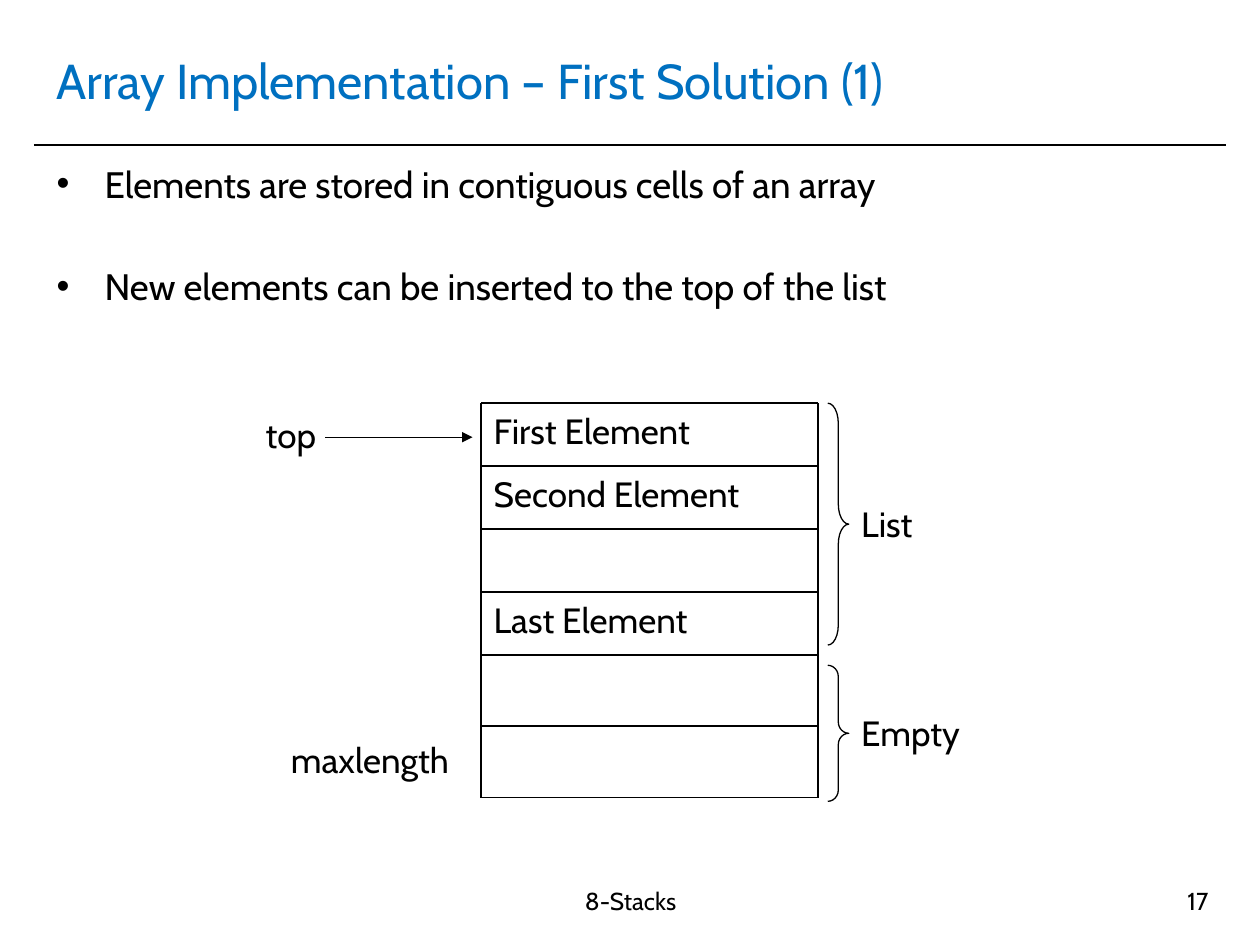
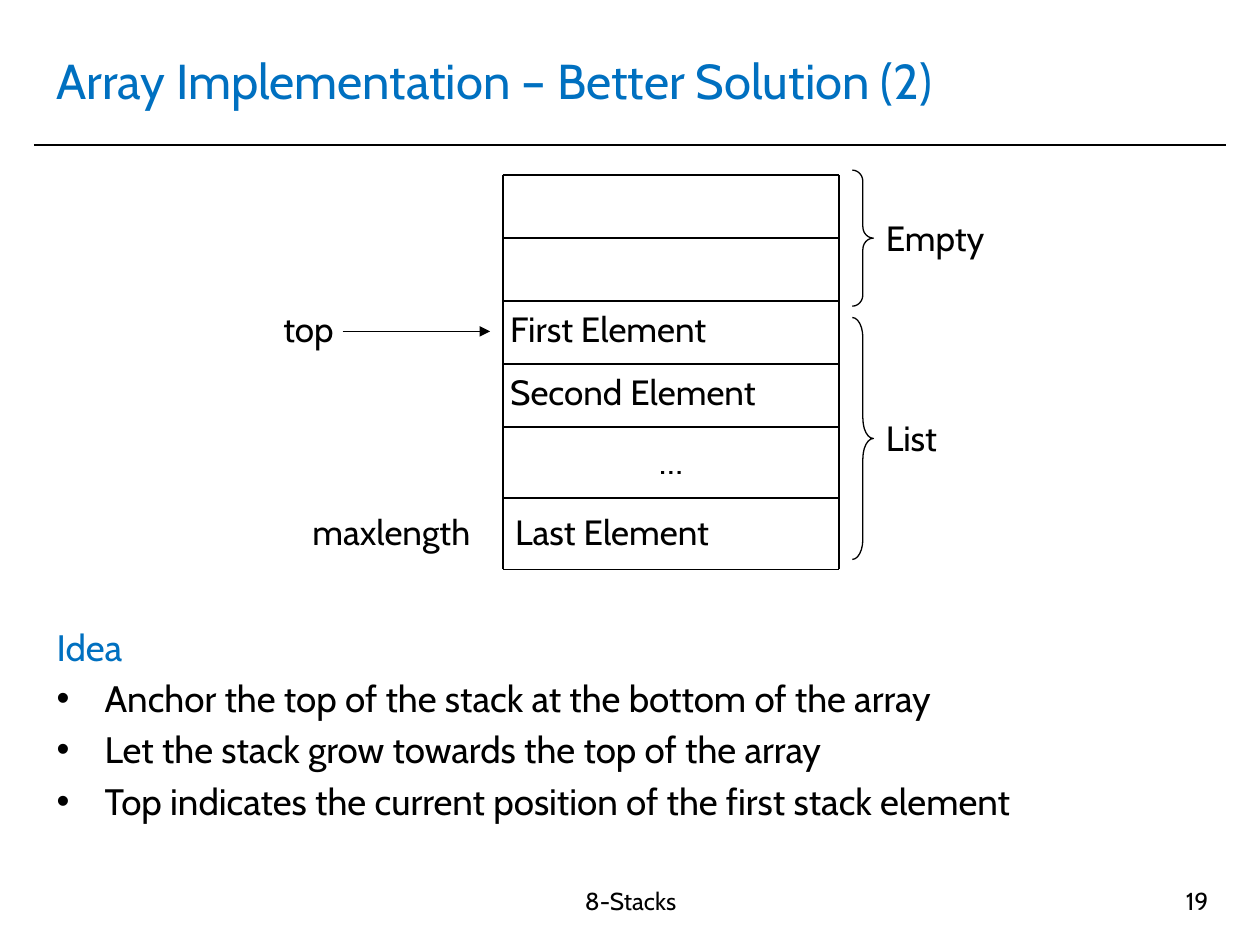
from dataclasses import dataclass
from typing import NamedTuple

from lxml.etree import SubElement
from pptx import Presentation
from pptx.dml.color import RGBColor
from pptx.enum.shapes import MSO_CONNECTOR, MSO_SHAPE
from pptx.enum.text import MSO_ANCHOR, MSO_AUTO_SIZE, PP_ALIGN
from pptx.oxml.ns import qn
from pptx.util import Inches, Pt


# Theme: colours, font, type sizes and line widths
@dataclass(frozen=True)
class Theme:
    font: str = "Cabin"
    ink: RGBColor = RGBColor(0x00, 0x00, 0x00)
    blue: RGBColor = RGBColor(0x00, 0x70, 0xC0)
    title: float = 28
    body: float = 21
    label: float = 20
    foot: float = 14
    rule: float = 1
    thin: float = 0.75


THEME = Theme()

# Grid: 100 columns by 75 rows
WIDTH, HEIGHT = Inches(10), Inches(7.5)
COLS, ROWS = 100, 75


def col(n: float) -> int:
    return round(WIDTH * n / COLS)


def row(n: float) -> int:
    return round(HEIGHT * n / ROWS)


class Box(NamedTuple):
    x: float
    y: float
    w: float
    h: float

    def place(self) -> tuple[int, int, int, int]:
        return col(self.x), row(self.y), col(self.w), row(self.h)


class Item(NamedTuple):
    text: str
    bullet: bool = True
    before: float = 0.2 * THEME.body


class Cell(NamedTuple):
    index: int
    text: str
    dx: float = 0
    dy: float = 0
    align: PP_ALIGN = PP_ALIGN.LEFT


class Brace(NamedTuple):
    text: str
    top: float
    height: float


# Positions below are measured from the top left corner of the array
@dataclass(frozen=True)
class Stack:
    x: float
    y: float
    cells: list[Cell]
    braces: list[Brace]
    side: float
    arrow: tuple[float, float]


@dataclass(frozen=True)
class Page:
    title: str
    number: str
    body: Box
    items: list[Item]
    stack: Stack


TITLE = Box(3.5, 2.1, 92.9, 8.5)
FOOT = Box(33.5, 69.8, 33.1, 5.2)
NUMBER = Box(73.6, 69.8, 23.3, 5.2)
EDGES = [0, 5, 10, 15, 20, 25.6, 31.3]
SPAN = 26.7
BRACE = 1.67
LABEL = 4.4
ARROW = 11.7
LINE = 1.4 * THEME.body

PAGES = [
    Page(
        "Array Implementation – First Solution (1)", "17",
        Box(3.5, 12.3, 92.9, 55.9),
        [
            Item("Elements are stored in contiguous cells of an array", before=0),
            Item("New elements can be inserted to the top of the list",
                 before=0.2 * THEME.body + LINE),
        ],
        Stack(
            38.2, 32,
            [Cell(0, "First Element"), Cell(1, "Second Element"),
             Cell(3, "Last Element")],
            [Brace("List", 0, 19.2), Brace("Empty", 20.8, 10.8)],
            27.5, (-12.4, 2.7),
        ),
    ),
    Page(
        "Array Implementation – Better Solution (2)", "19",
        Box(3.5, 49.05, 92.9, 19.15),
        [
            Item("Idea", bullet=False, before=0),
            Item("Anchor the top of the stack at the bottom of the array"),
            Item("Let the stack grow towards the top of the array"),
            Item("Top indicates the current position of the first stack element"),
        ],
        Stack(
            39.9, 13.9,
            [Cell(2, "First Element", -0.4), Cell(3, "Second Element", -0.4),
             Cell(4, "…", dy=0.5, align=PP_ALIGN.CENTER),
             Cell(5, "Last Element", dy=0.5)],
            [Brace("Empty", -0.4, 10.8), Brace("List", 11.3, 19.2)],
            27.75, (-12.7, 12.4),
        ),
    ),
]


# Basic parts
def style(para, size: float, color: RGBColor = THEME.ink,
          align: PP_ALIGN = PP_ALIGN.LEFT) -> None:
    para.alignment = align
    para.font.name = THEME.font
    para.font.size = Pt(size)
    para.font.color.rgb = color


def write(shapes, box: Box, text: str, size: float = THEME.label,
          align: PP_ALIGN = PP_ALIGN.LEFT) -> None:
    frame = shapes.add_textbox(*box.place()).text_frame
    frame.word_wrap = True
    frame.text = text
    style(frame.paragraphs[0], size, align=align)


def draw(shapes, x1: float, y1: float, x2: float, y2: float,
         width: float = THEME.rule, head: bool = False):
    line = shapes.add_connector(MSO_CONNECTOR.STRAIGHT,
                                col(x1), row(y1), col(x2), row(y2))
    line.line.color.rgb = THEME.ink
    line.line.width = Pt(width)
    props = line.element.spPr
    if head:
        SubElement(props.find(qn("a:ln")), qn("a:tailEnd"), type="triangle")
    SubElement(props, qn("a:effectLst"))
    return line


def mark(para, bullet: bool) -> None:
    props = para._p.get_or_add_pPr()
    indent = Inches(0.38) if bullet else 0
    props.set("marL", str(indent))
    props.set("indent", str(-indent))
    if bullet:
        tint = SubElement(props, qn("a:buClr"))
        SubElement(tint, qn("a:srgbClr"), val=str(THEME.ink))
        SubElement(props, qn("a:buFont"), typeface="Arial")
        SubElement(props, qn("a:buChar"), char="•")
    else:
        SubElement(props, qn("a:buNone"))


# Title and list
def fill(holder, box: Box, anchor: MSO_ANCHOR):
    holder.left, holder.top, holder.width, holder.height = box.place()
    frame = holder.text_frame
    frame.auto_size = MSO_AUTO_SIZE.NONE
    frame.vertical_anchor = anchor
    return frame


def head(slide, text: str) -> None:
    frame = fill(slide.shapes.title, TITLE, MSO_ANCHOR.MIDDLE)
    frame.text = text
    style(frame.paragraphs[0], THEME.title, THEME.blue)


def body(slide, box: Box, items: list[Item]) -> None:
    frame = fill(slide.placeholders[1], box, MSO_ANCHOR.TOP)
    frame.text = "\n".join(item.text for item in items)
    for para, item in zip(frame.paragraphs, items):
        mark(para, item.bullet)
        para.space_before = Pt(item.before)
        style(para, THEME.body, THEME.ink if item.bullet else THEME.blue)


# Array diagram
def brace(shapes, x: float, y: float, part: Brace) -> None:
    box = Box(x, y + part.top, BRACE, part.height)
    shape = shapes.add_shape(MSO_SHAPE.RIGHT_BRACE, *box.place())
    shape.shadow.inherit = False
    shape.fill.background()
    shape.line.color.rgb = THEME.ink
    shape.line.width = Pt(THEME.thin)
    shape.adjustments[0] = part.height / 12 / BRACE
    mid = box.y + box.h / 2
    write(shapes, Box(x + BRACE, mid - LABEL / 2, 11.7, LABEL), part.text)


def array(shapes, stack: Stack) -> None:
    x, y = stack.x, stack.y
    for cell in stack.cells:
        box = Box(x + cell.dx, y + EDGES[cell.index] + cell.dy, SPAN, 5)
        write(shapes, box, cell.text, align=cell.align)
    for edge in EDGES:
        draw(shapes, x, y + edge, x + SPAN, y + edge)
    for side in (x, x + SPAN):
        draw(shapes, side, y, side, y + EDGES[-1])
    for part in stack.braces:
        brace(shapes, x + stack.side, y, part)
    write(shapes, Box(x - 16.1, y + 26.1, 16.1, LABEL), "maxlength")

    # Pointer to the first element
    start, level = x + stack.arrow[0], y + stack.arrow[1]
    group = shapes.add_group_shape().shapes
    draw(group, start, level, start + ARROW, level, THEME.thin, head=True)
    write(group, Box(start - 5.7, level - 2.4, 9.9, LABEL), "top")


def build(deck, layout, page: Page):
    slide = deck.slides.add_slide(layout)
    head(slide, page.title)
    body(slide, page.body, page.items)
    write(slide.shapes, FOOT, "8-Stacks", THEME.foot, PP_ALIGN.CENTER)
    write(slide.shapes, NUMBER, page.number, THEME.foot, PP_ALIGN.RIGHT)
    array(slide.shapes, page.stack)
    return slide


def main() -> None:
    deck = Presentation()
    deck.slide_width, deck.slide_height = WIDTH, HEIGHT
    layout = deck.slide_layouts[1]
    slides = [build(deck, layout, page) for page in PAGES]

    # The rule under the title lives on the shared layout
    rule = draw(slides[0].shapes, 2.7, 11.5, 97.3, 11.5)
    layout.shapes.element.append(rule.element)
    deck.save("out.pptx")


if __name__ == "__main__":
    main()
